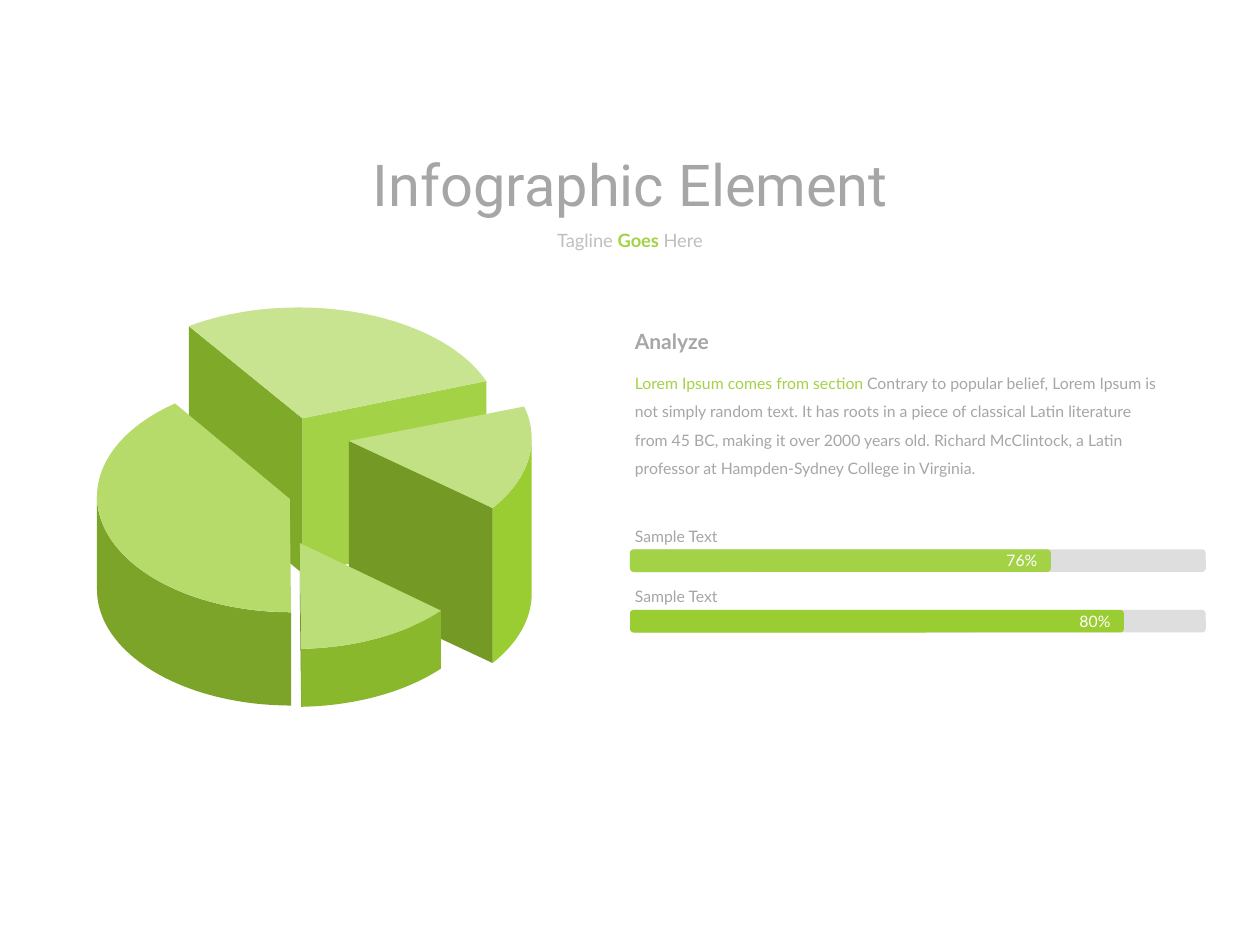
"""Build a slide with an exploded pie drawing, a short text and two progress bars."""
import math

import pptx
import pptx.dml.color
import pptx.enum.shapes
import pptx.enum.text
import pptx.oxml
import pptx.oxml.ns
import pptx.util

Inches = pptx.util.Inches
ALIGN = pptx.enum.text.PP_ALIGN
ANCHOR = pptx.enum.text.MSO_ANCHOR

COLORS = {
    "gray": "A6A6A6", "silver": "BFBFBF", "white": "FFFFFF",
    "green": "A4D246", "leaf": "9ACD32",
}
TITLE = [("Infographic Element", "gray", False)]
TAGLINE = [("Tagline ", "silver", False), ("Goes ", "green", True), ("Here", "silver", False)]
HEADING = [("Analyze", "gray", True)]
BODY = [
    ("Lorem Ipsum comes from section ", "green", False),
    ("Contrary to popular belief, Lorem Ipsum is not simply random text. "
     "It has roots in a piece of classical Latin literature from 45 BC, "
     "making it over 2000 years old. Richard McClintock, a Latin professor "
     "at Hampden-Sydney College in Virginia.", "gray", False),
]
BARS = [("Sample Text", "76%", 3.34, "green"), ("Sample Text", "80%", 3.92, "leaf")]
BAR_LEFT, BAR_TOP, BAR_STEP, BAR_WIDTH, BAR_HEIGHT = 5, 4.36, 0.48, 4.57, 0.18

RADIUS_Y = 0.92
SLICES = [
    {"center": (2.37, 3.36), "radius": 1.6, "apex": (2.4, 3.32), "angles": (237, 338.6),
     "depth": 1.23, "top": "C8E490", "walls": [("end", "A4D246"), ("start", "7FA929")]},
    {"center": (2.31, 3.94), "radius": 1.54, "apex": (2.3, 3.96), "angles": (90, 233.3),
     "depth": 0.74, "top": "B6DB6B", "walls": [((90, 180), "7BA428")]},
    {"center": (2.67, 3.48), "radius": 1.55, "apex": (2.77, 3.5), "angles": (-16, 36.9),
     "depth": 1.23, "top": "C2E184", "walls": [((0, 36.9), "9ACD32"), ("end", "749A25")]},
    {"center": (2.35, 4.23), "radius": 1.55, "apex": (2.38, 4.31), "angles": (42.1, 88.5),
     "depth": 0.46, "top": "BCDE78", "walls": [((42.1, 88.5), "8AB82D"), ("end", "678A22")]},
]


def rgb(value):
    return pptx.dml.color.RGBColor.from_string(value)


def paint(shape, value):
    shape.shadow.inherit = False
    shape.fill.solid()
    shape.fill.fore_color.rgb = rgb(value)
    shape.line.fill.background()


def write(box, spans, size, font="Lato", align=ALIGN.LEFT, spacing=None):
    para = box.text_frame.paragraphs[0]
    para.alignment = align
    if spacing:
        para.line_spacing = spacing
    para.font.size = pptx.util.Pt(size)
    para.font.name = font
    for text, color, bold in spans:
        span = para.add_run()
        span.text = text
        span.font.color.rgb = rgb(COLORS[color])
        span.font.bold = bold


def add_text(page, area, spans, size, wrap=False, **style):
    box = page.shapes.add_textbox(*map(Inches, area))
    box.text_frame.word_wrap = wrap
    write(box, spans, size, **style)


def arc(piece, first, last, steps=40):
    (x, y), radius = piece["center"], piece["radius"]
    turns = [math.radians(first + (last - first) * i / steps) for i in range(steps + 1)]
    return [(x + radius * math.cos(t), y + RADIUS_Y * math.sin(t)) for t in turns]


def add_outline(page, points, color):
    corners = [(Inches(x), Inches(y)) for x, y in points]
    builder = page.shapes.build_freeform(*corners[0])
    builder.add_line_segments(corners[1:], close=True)
    paint(builder.convert_to_shape(), color)


def add_slice(page, piece):
    apex, rim = piece["apex"], arc(piece, *piece["angles"])
    edges = {"start": [apex, rim[0]], "end": [apex, rim[-1]]}
    for wall, color in piece["walls"]:
        edge = edges[wall] if wall in edges else arc(piece, *wall)
        lower = [(x, y + piece["depth"]) for x, y in reversed(edge)]
        add_outline(page, edge + lower, color)
    add_outline(page, [apex] + rim, piece["top"])


def add_bar(page, top, width, color):
    area = map(Inches, (BAR_LEFT, top, width, BAR_HEIGHT))
    bar = page.shapes.add_shape(pptx.enum.shapes.MSO_SHAPE.ROUNDED_RECTANGLE, *area)
    paint(bar, COLORS[color])
    return bar


def add_progress(page, top, label, value, width, color):
    track = add_bar(page, top, BAR_WIDTH, "silver")
    fill = track.fill.fore_color._xFill.find(pptx.oxml.ns.qn("a:srgbClr"))
    fill.append(pptx.oxml.parse_xml(
        f'<a:alpha {pptx.oxml.ns.nsdecls("a")} val="50000"/>'))
    bar = add_bar(page, top, width, color)
    frame = bar.text_frame
    frame.vertical_anchor = ANCHOR.MIDDLE
    frame.margin_top = frame.margin_bottom = 0
    write(bar, [(value, "white", False)], 9, align=ALIGN.RIGHT)
    add_text(page, (4.94, top - 0.23, 0.89, 0.25), [(label, "gray", False)], 9)


def main():
    deck = pptx.Presentation()
    deck.slide_width, deck.slide_height = Inches(10), Inches(7.5)
    page = deck.slides.add_slide(deck.slide_layouts[5])
    title = page.shapes.title
    title.left, title.top, title.width, title.height = map(Inches, (2.84, 1.13, 4.33, 0.66))
    title.text_frame.auto_size = pptx.enum.text.MSO_AUTO_SIZE.NONE
    title.text_frame.word_wrap = False
    title.text_frame.vertical_anchor = ANCHOR.TOP
    write(title, TITLE, 33, font="Roboto", align=ALIGN.CENTER)
    add_text(page, (4.3, 1.77, 1.4, 0.28), TAGLINE, 10.5, align=ALIGN.CENTER)
    for piece in SLICES:
        add_slice(page, piece)
    add_text(page, (4.94, 2.84, 4.41, 1.01), BODY, 9, wrap=True, spacing=1.5)
    add_text(page, (4.94, 2.56, 0.8, 0.3), HEADING, 12)
    for index, bar in enumerate(BARS):
        add_progress(page, BAR_TOP + index * BAR_STEP, *bar)
    deck.save("out.pptx")


if __name__ == "__main__":
    main()
